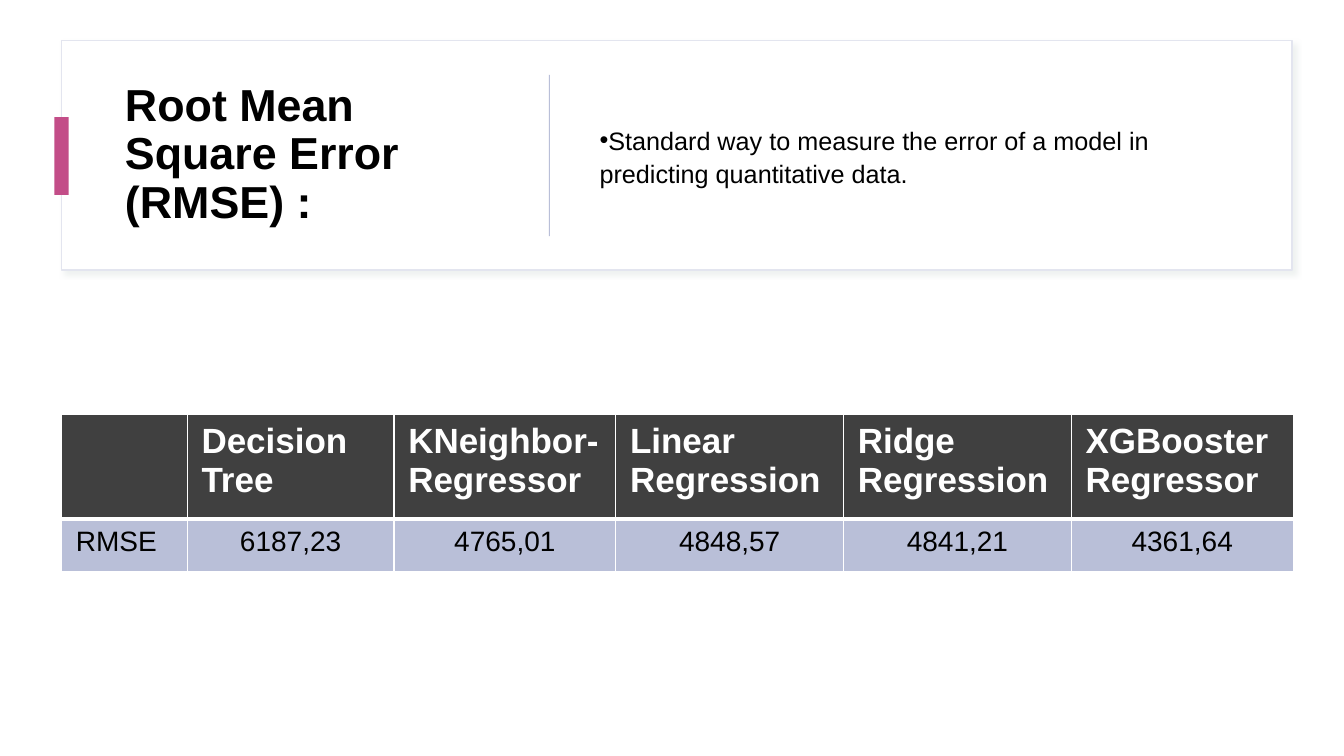
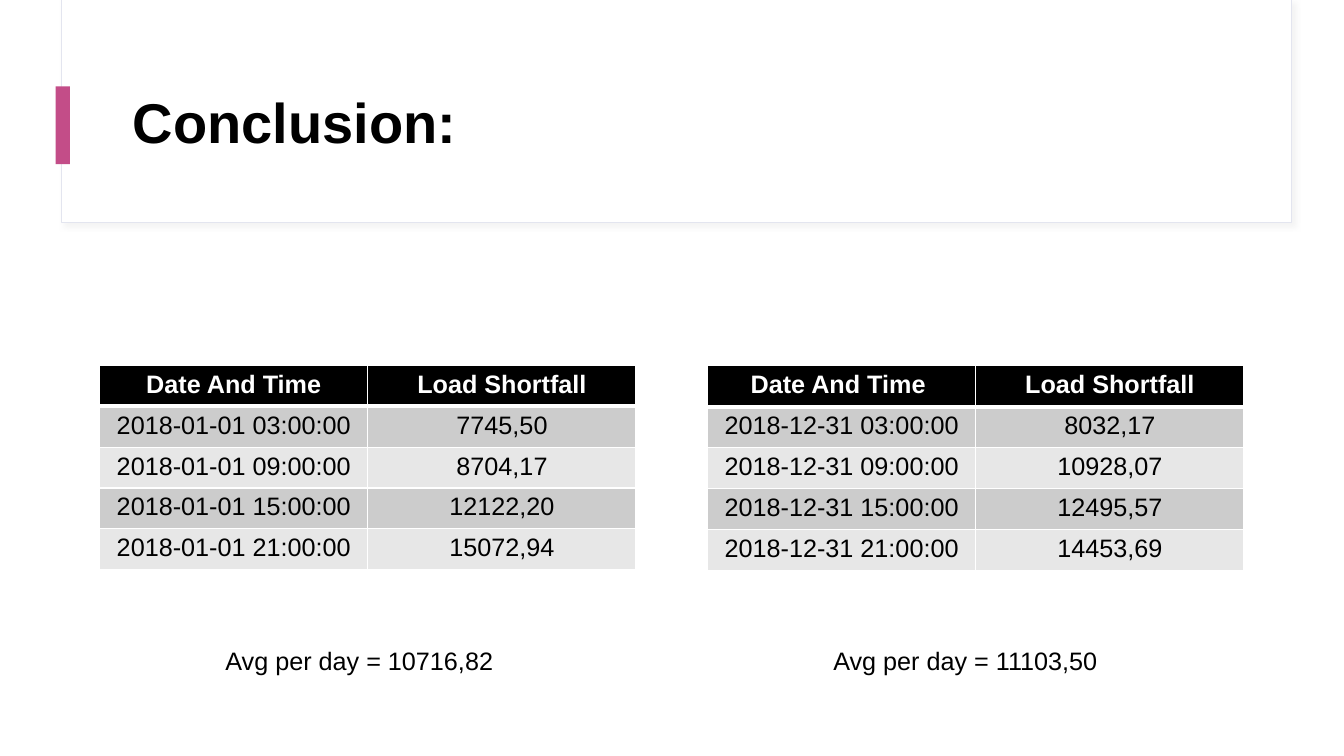
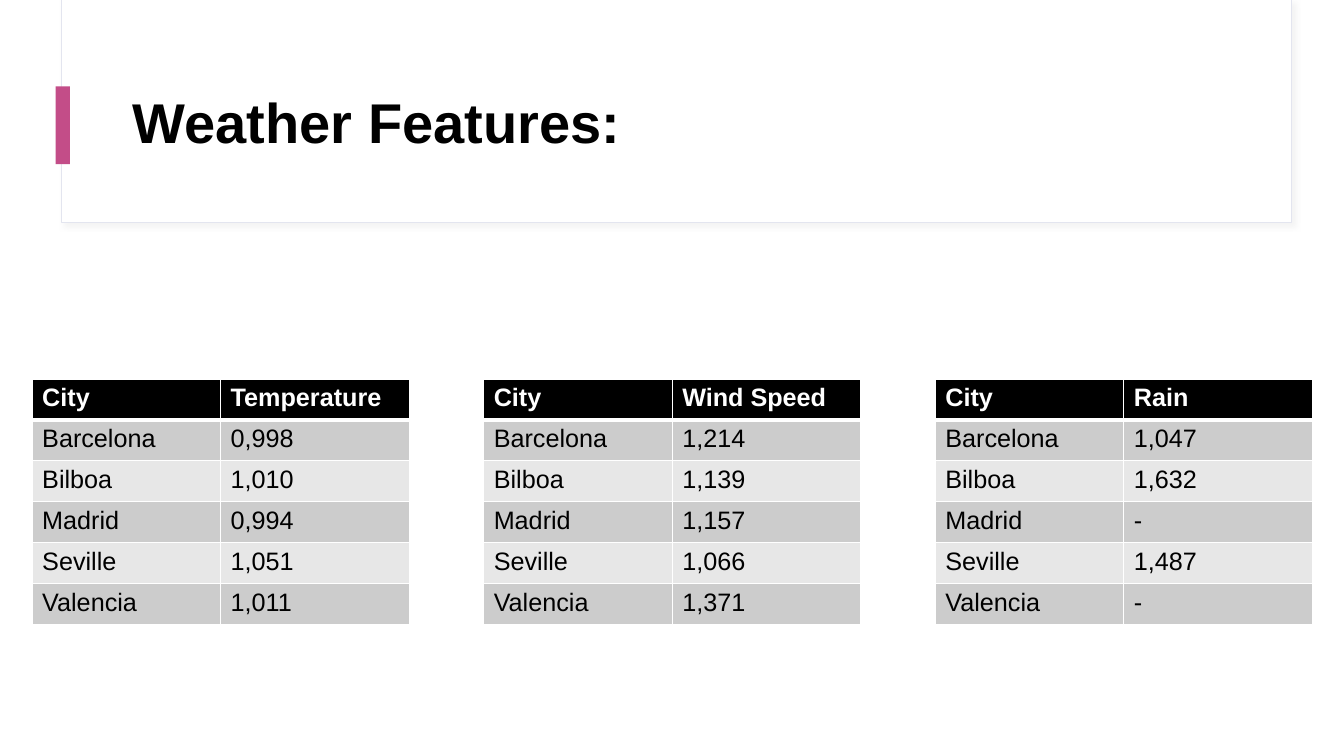
import lxml.etree
import pptx
import pptx.dml.color
import pptx.enum.shapes
import pptx.enum.text
import pptx.oxml
import pptx.oxml.ns
import pptx.util

Cm = pptx.util.Cm
Pt = pptx.util.Pt
CENTER = pptx.enum.text.PP_ALIGN.CENTER
LEFT = pptx.enum.text.PP_ALIGN.LEFT

FONT = "Arial"
BLACK, WHITE = "000000", "FFFFFF"
FRAME_LINE, ACCENT, LAVENDER = "E3E5EF", "C34D88", "B9BFD8"
CHARCOAL, DARK_BAND, LIGHT_BAND = "404040", "CCCCCC", "E7E7E7"


def rgb(value):
    return pptx.dml.color.RGBColor.from_string(value)


def add_xml(parent, tag, **attributes):
    """Append an element to parent and return it."""
    values = {name: str(value) for name, value in attributes.items()}
    return lxml.etree.SubElement(parent, pptx.oxml.ns.qn(tag), values)


class Deck:
    """Holds the shared style and the slide being filled."""

    def __init__(self):
        self.presentation = pptx.Presentation()
        self.presentation.slide_width = Cm(33.87)
        self.presentation.slide_height = Cm(19.05)
        self.slide = None

    def new_slide(self):
        self.slide = self.presentation.slides.add_slide(self.presentation.slide_layouts[6])
        self.slide.background.fill.solid()
        self.slide.background.fill.fore_color.rgb = rgb(WHITE)

    def rectangle(self, left, top, width, height, color):
        shape = self.slide.shapes.add_shape(
            pptx.enum.shapes.MSO_SHAPE.RECTANGLE, Cm(left), Cm(top), Cm(width), Cm(height))
        shape.shadow.inherit = False
        shape.fill.solid()
        shape.fill.fore_color.rgb = rgb(color)
        shape.line.fill.background()
        return shape

    def frame(self, top, height, line_width, shadow_color):
        """White box with a thin outline and a soft shadow."""
        shape = self.rectangle(1.55, top, 31.01, height, WHITE)
        shape.line.color.rgb = rgb(FRAME_LINE)
        shape.line.width = Pt(line_width)
        effects = shape._element.spPr.find(pptx.oxml.ns.qn("a:effectLst"))
        shadow = add_xml(effects, "a:outerShdw", blurRad=Pt(4), dist=Pt(3),
                         dir=45 * 60000, algn="tl", rotWithShape=0)
        color = add_xml(shadow, "a:srgbClr", val=shadow_color)
        add_xml(color, "a:alpha", val=30000)

    def accent(self, left, top):
        self.rectangle(left, top, 0.36, 1.96, ACCENT)

    def style(self, paragraph, size, color=BLACK, bold=False):
        for run in paragraph.runs:
            run.font.name = FONT
            run.font.size = Pt(size)
            run.font.bold = bold
            run.font.color.rgb = rgb(color)

    def text(self, left, top, width, height, text, size=18, bold=False, middle=False):
        box = self.slide.shapes.add_textbox(Cm(left), Cm(top), Cm(width), Cm(height))
        frame = box.text_frame
        frame.word_wrap = True
        if middle:
            frame.vertical_anchor = pptx.enum.text.MSO_ANCHOR.MIDDLE
        frame.text = text
        paragraph = frame.paragraphs[0]
        self.style(paragraph, size, bold=bold)
        return paragraph

    def title(self, left, top, width, height, text, size):
        paragraph = self.text(left, top, width, height, text, size, bold=True, middle=True)
        paragraph.line_spacing = 0.9

    def bullet(self, left, top, width, height, text):
        paragraph = self.text(left, top, width, height, text, middle=True)
        paragraph.line_spacing = 1.1
        paragraph.space_after = Pt(6)
        properties = paragraph._p.get_or_add_pPr()
        properties.set("marL", "0")
        properties.set("indent", str(-Cm(0.64)))
        add_xml(properties, "a:buFont", typeface=FONT)
        add_xml(properties, "a:buChar", char="•")

    def titled_slide(self, title):
        self.new_slide()
        self.frame(0, 5.61, 0.75, "D9D9D9")
        self.accent(1.4, 2.18)
        self.title(3.1, 1.52, 28.24, 3.28, title, 40)

    def borders(self, cell, row):
        """White grid lines, thicker below the header row."""
        widths = {"L": 1, "R": 1, "T": 3 if row == 1 else 1, "B": 3 if row == 0 else 1}
        properties = cell._tc.get_or_add_tcPr()
        for position, (side, width) in enumerate(widths.items()):
            line = pptx.oxml.parse_xml(
                f'<a:ln{side} {pptx.oxml.ns.nsdecls("a")} w="{Pt(width)}"><a:solidFill>'
                f'<a:srgbClr val="{WHITE}"/></a:solidFill></a:ln{side}>')
            properties.insert(position, line)

    def table(self, left, top, widths, heights, rows, header_fill=BLACK,
              bands=(DARK_BAND, LIGHT_BAND), sizes=(18, 18), margins=None, align=None):
        """Draw rows of text; align(row, column) gives each cell's alignment."""
        table = self.slide.shapes.add_table(
            len(rows), len(widths), Cm(left), Cm(top),
            Cm(sum(widths)), Cm(sum(heights))).table
        for column, width in zip(table.columns, widths):
            column.width = Cm(width)
        for row, (texts, height) in enumerate(zip(rows, heights)):
            table.rows[row].height = Cm(height)
            header = row == 0
            for column, text in enumerate(texts):
                cell = table.cell(row, column)
                cell.fill.solid()
                cell.fill.fore_color.rgb = rgb(
                    header_fill if header else bands[(row - 1) % len(bands)])
                self.borders(cell, row)
                if margins:
                    cell.margin_left = cell.margin_right = Cm(margins[0])
                    cell.margin_top = cell.margin_bottom = Cm(margins[1])
                cell.text_frame.text = text
                paragraph = cell.text_frame.paragraphs[0]
                if align:
                    paragraph.alignment = align(row, column)
                self.style(paragraph, sizes[0 if header else 1],
                           WHITE if header else BLACK, header)


def rmse_slide(deck):
    deck.new_slide()
    deck.frame(1.02, 5.79, 1, "C8D3CF")
    deck.title(2.9, 1.63, 9.83, 4.57, "Root Mean Square Error (RMSE) :", 32)
    deck.accent(1.37, 2.95)
    deck.rectangle(13.83, 1.89, 0.03, 4.06, LAVENDER)
    deck.bullet(14.86, 1.63, 16.66, 4.57,
                "Standard way to measure the error of a model in predicting quantitative data.")
    deck.table(
        1.55, 10.44, [3.17, 5.21, 5.59, 5.74, 5.74, 5.59], [2.64, 1.32],
        [["", "Decision Tree", "KNeighbor- Regressor", "Linear Regression",
          "Ridge Regression", "XGBooster Regressor"],
         ["RMSE", "6187,23", "4765,01", "4848,57", "4841,21", "4361,64"]],
        header_fill=CHARCOAL, bands=(LAVENDER,), sizes=(25, 20), margins=(0.36, 0.18),
        align=lambda row, column: CENTER if row and column else LEFT)


def conclusion_slide(deck):
    deck.titled_slide("Conclusion:")
    hours = ["03", "09", "15", "21"]
    days = [
        (2.51, 0.98, "Date And Time", "2018-01-01",
         ["7745,50", "8704,17", "12122,20", "15072,94"], "10716,82"),
        (17.83, 1.03, "Date And Time ", "2018-12-31",
         ["8032,17", "10928,07", "12495,57", "14453,69"], "11103,50"),
    ]
    for left, header_height, heading, day, values, average in days:
        rows = [[heading, "Load Shortfall"]]
        rows += [[f"{day} {hour}:00:00", value] for hour, value in zip(hours, values)]
        deck.table(left, 9.22, [6.76] * 2, [header_height] + [1.03] * 4, rows,
                   align=lambda row, column: CENTER)
        deck.text(left + 2.92, 16.13, 7.7, 1.02, f"Avg per day = {average}")


def weather_slide(deck):
    deck.titled_slide("Weather Features:")
    cities = ["Barcelona", "Bilboa", "Madrid", "Seville", "Valencia"]
    features = {
        "Temperature": ["0,998", "1,010", "0,994", "1,051", "1,011"],
        "Wind Speed": ["1,214", "1,139", "1,157", "1,066", "1,371"],
        "Rain": ["1,047", "1,632", "-", "1,487", "-"],
    }
    for index, (feature, values) in enumerate(features.items()):
        rows = [["City", feature], *zip(cities, values)]
        deck.table(0.81 + 11.38 * index, 9.55, [4.75] * 2, [1.03] * 6, rows)


def main():
    deck = Deck()
    rmse_slide(deck)
    conclusion_slide(deck)
    weather_slide(deck)
    deck.presentation.save("out.pptx")


if __name__ == "__main__":
    main()
